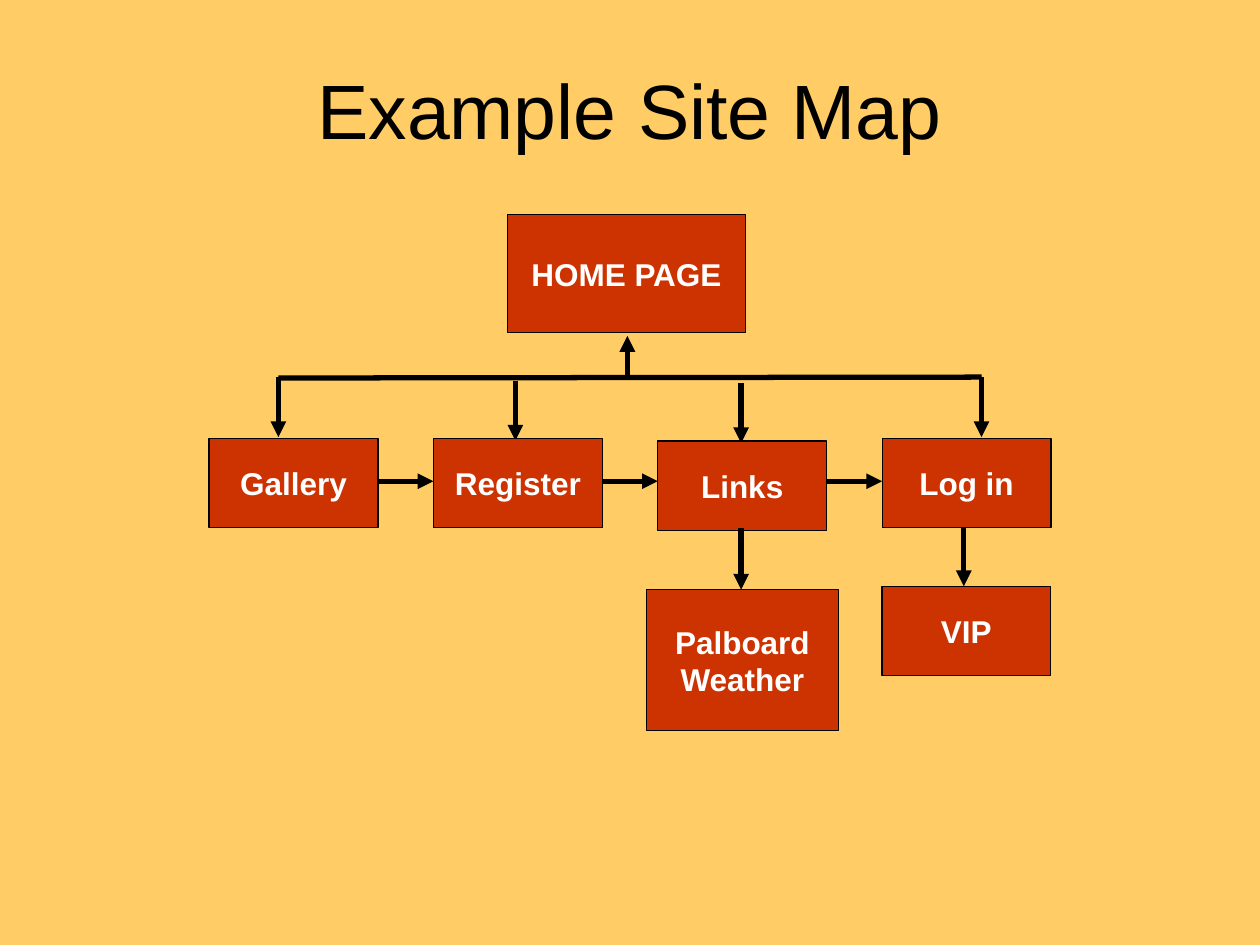
from lxml import etree
from pptx import Presentation
from pptx import util as u
from pptx.dml import color
from pptx.enum import shapes, text
from pptx.oxml import ns

Pt = u.Pt
PAGE_WIDTH, PAGE_HEIGHT = 96.5, 51
PAGE_STEP = 128.2


def rgb(value):
    return color.RGBColor.from_string(value)


def write_lines(shape, lines, size, hex_color, bold=False):
    frame = shape.text_frame
    frame.vertical_anchor = text.MSO_ANCHOR.MIDDLE
    for index, line in enumerate(lines):
        paragraph = frame.paragraphs[0] if index == 0 else frame.add_paragraph()
        paragraph.alignment = text.PP_ALIGN.CENTER
        run = paragraph.add_run()
        run.text = line
        run.font.name = "Arial"
        run.font.size = Pt(size)
        run.font.bold = bold
        run.font.color.rgb = rgb(hex_color)


def add_title(slide, left, top, width, height):
    shape = slide.shapes.add_textbox(Pt(left), Pt(top), Pt(width), Pt(height))
    shape.text_frame.word_wrap = True
    write_lines(shape, ["Example Site Map"], 44, "000000")


def add_page(slide, left, top, width, height, lines):
    shape = slide.shapes.add_shape(
        shapes.MSO_SHAPE.RECTANGLE, Pt(left), Pt(top), Pt(width), Pt(height))
    shape.shadow.inherit = False
    shape.fill.solid()
    shape.fill.fore_color.rgb = rgb("CC3300")
    shape.line.color.rgb = rgb("000000")
    shape.line.width = Pt(0.75)
    shape.text_frame.word_wrap = False
    write_lines(shape, lines, 18, "FFFFFF", bold=True)


def add_line(slide, start_x, start_y, end_x, end_y, arrow=True):
    connector = slide.shapes.add_connector(
        shapes.MSO_CONNECTOR.STRAIGHT,
        Pt(start_x), Pt(start_y), Pt(end_x), Pt(end_y))
    connector.line.color.rgb = rgb("000000")
    connector.line.width = Pt(3)
    if arrow:
        line = connector.line._get_or_add_ln()
        etree.SubElement(line, ns.qn("a:tailEnd"), type="triangle")
    etree.SubElement(connector._element.spPr, ns.qn("a:effectLst"))


def add_site_map(slide, left, top):
    bus = top + 93
    row = top + 128
    add_line(slide, left + 39.6, bus + 0.5, left + 441.4, bus, arrow=False)
    add_line(slide, left + 239, bus, left + 239, top + 69.5)
    add_page(slide, left + 170.5, top, 136, 67.5, ["HOME PAGE"])

    pages = [("Gallery", 39.6, 0, 0), ("Register", 175, 2, 0),
             ("Links", 304, 3.5, 1.5), ("Log in", 441.4, 0, 0)]
    for index, (name, drop_x, drop_gap, offset) in enumerate(pages):
        page_left = left + index * PAGE_STEP
        drop_top = bus + drop_gap
        add_line(slide, left + drop_x, drop_top, left + drop_x, drop_top + 34.3)
        if index:
            add_line(slide, page_left - PAGE_STEP + PAGE_WIDTH, row + 24.5,
                     page_left, row + 24.5)
        add_page(slide, page_left, row + offset, PAGE_WIDTH, PAGE_HEIGHT, [name])

    children = [(["Palboard", "Weather"], 250, 214.5, 109.5, 80.6, 304),
                (["VIP"], 384.5, 212.5, PAGE_WIDTH, PAGE_HEIGHT, 431.3)]
    for lines, child_x, child_y, width, height, arrow_x in children:
        add_line(slide, left + arrow_x, row + PAGE_HEIGHT + 0.5,
                 left + arrow_x, top + child_y)
        add_page(slide, left + child_x, top + child_y, width, height, lines)


def main():
    presentation = Presentation()
    presentation.slide_width, presentation.slide_height = Pt(720), Pt(540)
    slide = presentation.slides.add_slide(presentation.slide_layouts[6])
    slide.background.fill.solid()
    slide.background.fill.fore_color.rgb = rgb("FFCC66")
    add_title(slide, 36, 17.3, 648, 90)
    add_site_map(slide, 119.5, 122.5)
    presentation.save("out.pptx")


if __name__ == "__main__":
    main()
